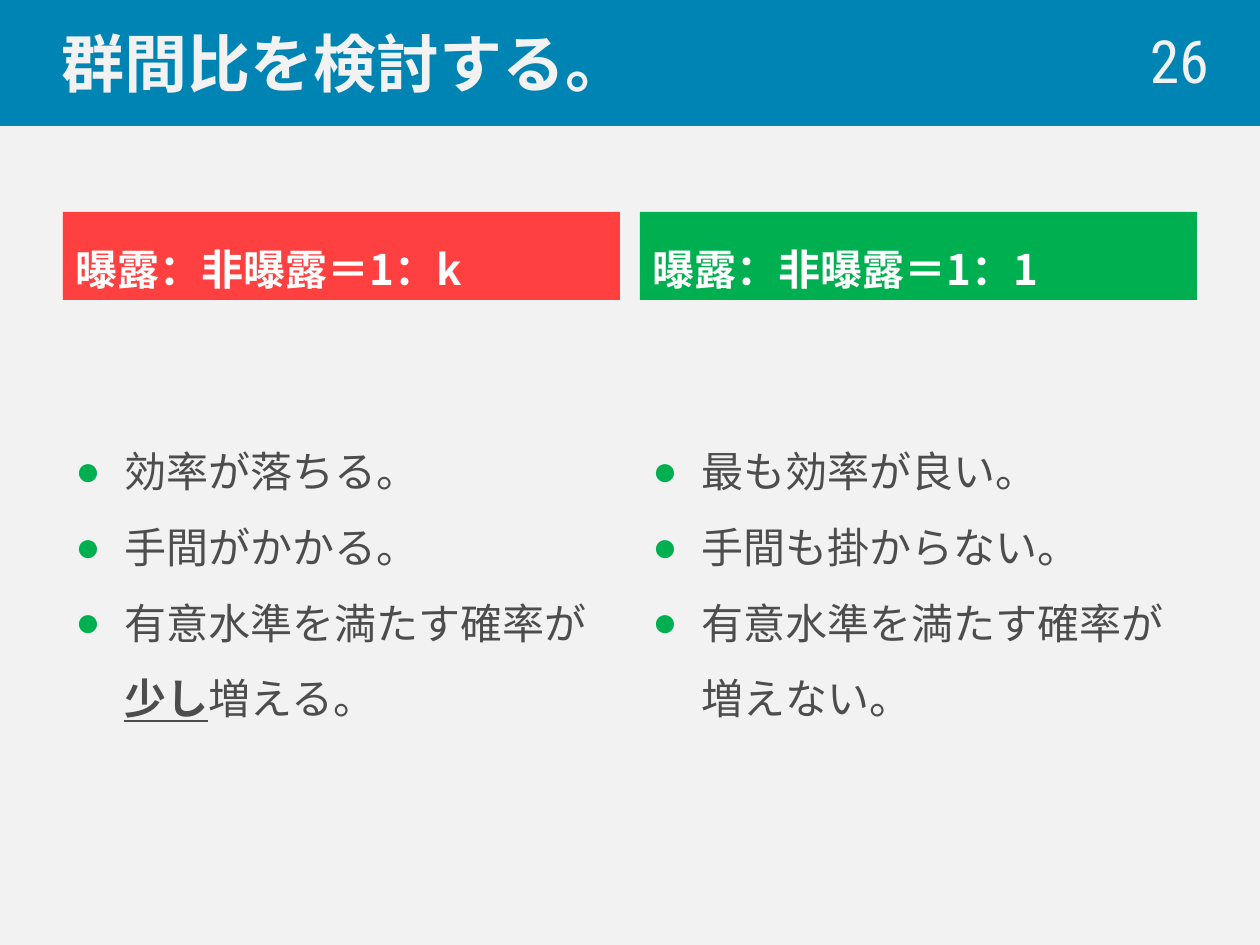
from lxml.etree import SubElement
from pptx import Presentation
from pptx.dml.color import RGBColor
from pptx.enum.shapes import MSO_SHAPE
from pptx.enum.text import MSO_ANCHOR as ANCHOR, PP_ALIGN as ALIGN
from pptx.oxml.ns import qn
from pptx.util import Emu, Pt

COLORS = {
    "background": "F2F2F2",
    "banner": "0084B4",
    "red": "FF4040",
    "green": "00B050",
    "white": "FFFFFF",
    "text": "4D4D4D",
}
JP_FONT = "Noto Sans CJK JP"
NUMBER_FONT = "Roboto Condensed"

# Column grid
LEFT, COLUMN_STEP, COLUMN_WIDTH = 63, 577, 557
HEADER_TOP, HEADER_HEIGHT, LIST_HEIGHT = 212, 88, 544
INDENT = 49

# Header, header colour, bullets; each bullet is a list of (text, emphasised)
COLUMNS = [
    ("曝露：非曝露＝1：k", "red", [
        [("効率が落ちる。", False)],
        [("手間がかかる。", False)],
        [("有意水準を満たす確率が", False), ("少し", True), ("増える。", False)],
    ]),
    ("曝露：非曝露＝1：1", "green", [
        [("最も効率が良い。", False)],
        [("手間も掛からない。", False)],
        [("有意水準を満たす確率が増えない。", False)],
    ]),
]


def px(n):
    return Emu(round(n * 914400 / 126))


def rgb(name):
    return RGBColor.from_string(COLORS[name])


def fill(target, color):
    target.fill.solid()
    target.fill.fore_color.rgb = rgb(color)


def style_run(r, size, color, bold=False, font=JP_FONT):
    r.font.size = Pt(size)
    r.font.bold = bold
    r.font.color.rgb = rgb(color)
    r.font.name = font
    SubElement(r.font._element, qn("a:ea"), typeface=font)


def set_indent(p, margin, first):
    pPr = p._p.get_or_add_pPr()
    pPr.set("marL", str(px(margin)))
    pPr.set("indent", str(px(first)))
    return pPr


def add_bullet(p, color):
    pPr = set_indent(p, INDENT, -INDENT)
    SubElement(SubElement(pPr, qn("a:buClr")), qn("a:srgbClr"), val=COLORS[color])
    SubElement(pPr, qn("a:buFont"), typeface="Arial")
    SubElement(pPr, qn("a:buChar"), char="●")


def add_text_box(slide, x, y, w, h):
    tf = slide.shapes.add_textbox(px(x), px(y), px(w), px(h)).text_frame
    tf.word_wrap = True
    tf.vertical_anchor = ANCHOR.MIDDLE
    return tf


def add_title(slide, text):
    sp = slide.shapes.title
    sp.left, sp.top, sp.width, sp.height = px(0), px(0), px(1260), px(125)
    fill(sp, "banner")
    sp.line.color.rgb = rgb("banner")
    sp.line.width = Pt(1.5)
    tf = sp.text_frame
    tf.text = text
    tf.vertical_anchor = ANCHOR.MIDDLE
    p = tf.paragraphs[0]
    set_indent(p, INDENT, 0)
    p.alignment = ALIGN.LEFT
    style_run(p.runs[0], 36, "background", bold=True)


def add_page_number(slide, text):
    p = add_text_box(slide, 978, 26, 243, 77).paragraphs[0]
    p.text = text
    p.alignment = ALIGN.RIGHT
    p.line_spacing = 0.9
    style_run(p.runs[0], 34, "background", font=NUMBER_FONT)


def add_header(slide, x, text, color):
    sp = slide.shapes.add_shape(MSO_SHAPE.RECTANGLE, px(x), px(HEADER_TOP),
                                px(COLUMN_WIDTH), px(HEADER_HEIGHT))
    sp.shadow.inherit = False
    fill(sp, color)
    sp.line.fill.background()
    tf = sp.text_frame
    tf.text = text
    tf.word_wrap = True
    tf.vertical_anchor = ANCHOR.BOTTOM
    p = tf.paragraphs[0]
    p.alignment = ALIGN.LEFT
    p.line_spacing = 1.5
    style_run(p.runs[0], 24, "white", bold=True)


def add_bullet_list(slide, x, bullets):
    tf = add_text_box(slide, x, HEADER_TOP + HEADER_HEIGHT, COLUMN_WIDTH, LIST_HEIGHT)
    for i, parts in enumerate(bullets):
        p = tf.add_paragraph() if i else tf.paragraphs[0]
        add_bullet(p, "green")
        p.line_spacing = 1.5
        for text, emphasised in parts:
            r = p.add_run()
            r.text = text
            style_run(r, 24, "text", bold=emphasised)
            r.font.underline = emphasised


def main():
    prs = Presentation()
    prs.slide_width, prs.slide_height = px(1260), px(945)
    slide = prs.slides.add_slide(prs.slide_layouts[5])
    fill(slide.background, "background")

    add_title(slide, "群間比を検討する。")

    # Two compared ratios, side by side
    for i, (header, color, bullets) in enumerate(COLUMNS):
        x = LEFT + i * COLUMN_STEP
        add_header(slide, x, header, color)
        add_bullet_list(slide, x, bullets)

    add_page_number(slide, "26")
    prs.save("out.pptx")


if __name__ == "__main__":
    main()
